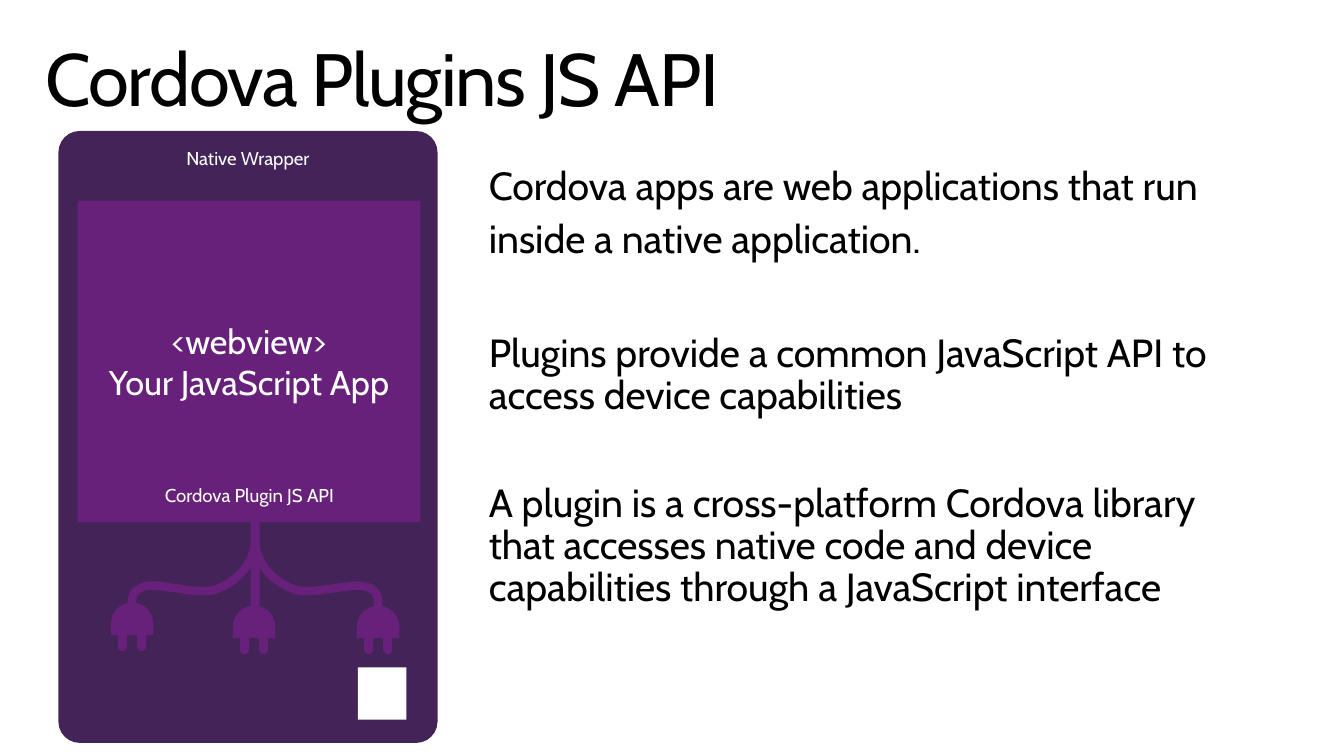
from dataclasses import dataclass

import lxml.etree
import pptx
import pptx.dml.color
import pptx.enum.shapes
import pptx.enum.text
import pptx.oxml.ns
import pptx.util

Inches = pptx.util.Inches
Pt = pptx.util.Pt
qn = pptx.oxml.ns.qn
ShapeKind = pptx.enum.shapes.MSO_SHAPE
Align = pptx.enum.text.PP_ALIGN
Anchor = pptx.enum.text.MSO_ANCHOR
Point = tuple[float, float]
Segment = tuple[Point, ...]


@dataclass(frozen=True)
class Theme:
    font: str = "Cabin"
    ink: str = "000000"
    light: str = "FFFFFF"
    wrapper: str = "442359"
    accent: str = "68217A"
    title: float = 52.9
    body: float = 28
    app: float = 24.5
    label: float = 13.3
    cable: float = 6


@dataclass(frozen=True)
class Box:
    left: float
    top: float
    width: float
    height: float


@dataclass(frozen=True)
class Paragraph:
    lines: tuple[str, ...]
    size: float
    color: str
    align: Align = Align.LEFT
    line_spacing: float = 1.0
    before: float = 0
    tracking: int = 0


@dataclass(frozen=True)
class Plug:
    x: float
    top: float


@dataclass(frozen=True)
class Outline:
    start: Point
    segments: tuple[Segment, ...]
    closed: bool = False


THEME = Theme()
CABLE_X = 2.53
CABLE_TOP = 5.37
PLUGS = (Plug(1.31, 5.98), Plug(2.52, 6.01), Plug(3.75, 6.01))
CABLE = Outline((1.23, 0.75), (
    ((1.19, 0.65), (1.29, 0.51), (1.10, 0.45)),
    ((0.96, 0.40), (0.55, 0.55), (0.37, 0.47)),
    ((0.19, 0.40), (0.01, 0.23), (0, 0)),
))
DOME = Outline((0, 0), (
    ((0.12, 0), (0.21, 0.09), (0.21, 0.21)),
    ((0.21, 0.32),),
    ((-0.21, 0.32),),
    ((-0.21, 0.21),),
    ((-0.21, 0.09), (-0.12, 0), (0, 0)),
), closed=True)


def rgb(color: str) -> pptx.dml.color.RGBColor:
    return pptx.dml.color.RGBColor.from_string(color)


def write(shape, paragraphs: tuple[Paragraph, ...], anchor: Anchor = Anchor.TOP,
          inset: tuple[float, float, float, float] = (0.1, 0.05, 0.1, 0.05)) -> None:
    frame = shape.text_frame
    frame.word_wrap = True
    frame.vertical_anchor = anchor
    frame.margin_left, frame.margin_top, frame.margin_right, frame.margin_bottom = map(Inches, inset)
    for index, content in enumerate(paragraphs):
        paragraph = frame.add_paragraph() if index else frame.paragraphs[0]
        paragraph.alignment = content.align
        paragraph.line_spacing = content.line_spacing
        paragraph.space_before = Pt(content.before)
        for number, line in enumerate(content.lines):
            if number:
                paragraph.add_line_break()
            run = paragraph.add_run()
            run.text = line
            run.font.name = THEME.font
            run.font.size = Pt(content.size)
            run.font.color.rgb = rgb(content.color)
            if content.tracking:
                run.font._element.set("spc", str(content.tracking))


def add_text(slide, box: Box, *paragraphs: Paragraph, **layout) -> None:
    area = slide.shapes.add_textbox(*map(Inches, (box.left, box.top, box.width, box.height)))
    write(area, paragraphs, **layout)


def add_block(slide, box: Box, color: str, kind: ShapeKind = ShapeKind.RECTANGLE, rounding: float = 0):
    block = slide.shapes.add_shape(kind, *map(Inches, (box.left, box.top, box.width, box.height)))
    block.shadow.inherit = False
    block.fill.solid()
    block.fill.fore_color.rgb = rgb(color)
    block.line.fill.background()
    if rounding:
        block.adjustments[0] = rounding
    return block


def add_outline(slide, outline: Outline, origin: Point, side: int = 1):
    def place(point: Point) -> tuple[int, int]:
        return Inches(origin[0] + side * point[0]), Inches(origin[1] + point[1])

    builder = slide.shapes.build_freeform(*place(outline.start))
    builder.add_line_segments([place(segment[-1]) for segment in outline.segments], close=outline.closed)
    shape = builder.convert_to_shape()
    shape.shadow.inherit = False
    straights = list(shape._element.iter(qn("a:lnTo")))
    for straight, segment in zip(straights, outline.segments):
        if len(segment) == 3:
            curve = lxml.etree.Element(qn("a:cubicBezTo"))
            for x, y in map(place, segment):
                lxml.etree.SubElement(curve, qn("a:pt"), x=str(x - shape.left), y=str(y - shape.top))
            straight.getparent().replace(straight, curve)
    return shape


def add_cable(slide, side: int) -> None:
    cable = add_outline(slide, CABLE, (CABLE_X, CABLE_TOP), side)
    cable.fill.background()
    cable.line.color.rgb = rgb(THEME.accent)
    cable.line.width = Pt(THEME.cable)


def add_plug(slide, plug: Plug) -> None:
    for offset in (-0.095, 0.095):
        prong = Box(plug.x + offset - 0.045, plug.top + 0.23, 0.09, 0.25)
        add_block(slide, prong, THEME.accent, ShapeKind.ROUNDED_RECTANGLE, 0.5)
    dome = add_outline(slide, DOME, (plug.x, plug.top))
    dome.fill.solid()
    dome.fill.fore_color.rgb = rgb(THEME.accent)
    dome.line.fill.background()


def main() -> None:
    presentation = pptx.Presentation()
    presentation.slide_width = Inches(13.33)
    presentation.slide_height = Inches(7.5)
    slide = presentation.slides.add_slide(presentation.slide_layouts[6])

    add_text(slide, Box(0.29, 0.32, 12.75, 0.98),
             Paragraph(("Cordova Plugins JS API",), THEME.title, THEME.ink, line_spacing=0.9, tracking=-100),
             inset=(0.16, 0.1, 0.16, 0.1))

    wrapper = add_block(slide, Box(0.58, 1.3, 3.76, 6.07), THEME.wrapper, ShapeKind.ROUNDED_RECTANGLE, 0.056)
    write(wrapper, (Paragraph(("Native Wrapper",), THEME.label, THEME.light, Align.CENTER),),
          inset=(0.1, 0.1, 0.1, 0.05))
    add_block(slide, Box(3.55, 6.62, 0.48, 0.52), THEME.light)

    add_block(slide, Box(CABLE_X - 0.045, 5.11, 0.09, 1.02), THEME.accent, ShapeKind.ROUNDED_RECTANGLE, 0.5)
    for side in (-1, 1):
        add_cable(slide, side)
    for plug in PLUGS:
        add_plug(slide, plug)

    webview = add_block(slide, Box(0.77, 1.99, 3.4, 3.19), THEME.accent)
    write(webview, (Paragraph(("<webview>", "Your JavaScript App"), THEME.app, THEME.light, Align.CENTER),),
          Anchor.MIDDLE)
    add_text(slide, Box(1.16, 4.75, 2.63, 0.32),
             Paragraph(("Cordova Plugin JS API",), THEME.label, THEME.light, Align.CENTER))

    add_text(slide, Box(4.75, 1.5, 7.73, 3.93),
             Paragraph(("Cordova apps are web applications that run inside a native application.",),
                       THEME.body, THEME.ink, line_spacing=1.12),
             Paragraph(("Plugins provide a common JavaScript API to access device capabilities",),
                       THEME.body, THEME.ink, line_spacing=0.9, before=51.5),
             Paragraph(("A plugin is a cross-platform Cordova library that accesses native code "
                        "and device capabilities through a JavaScript interface",),
                       THEME.body, THEME.ink, line_spacing=0.9, before=46.5))
    presentation.save("out.pptx")


if __name__ == "__main__":
    main()
